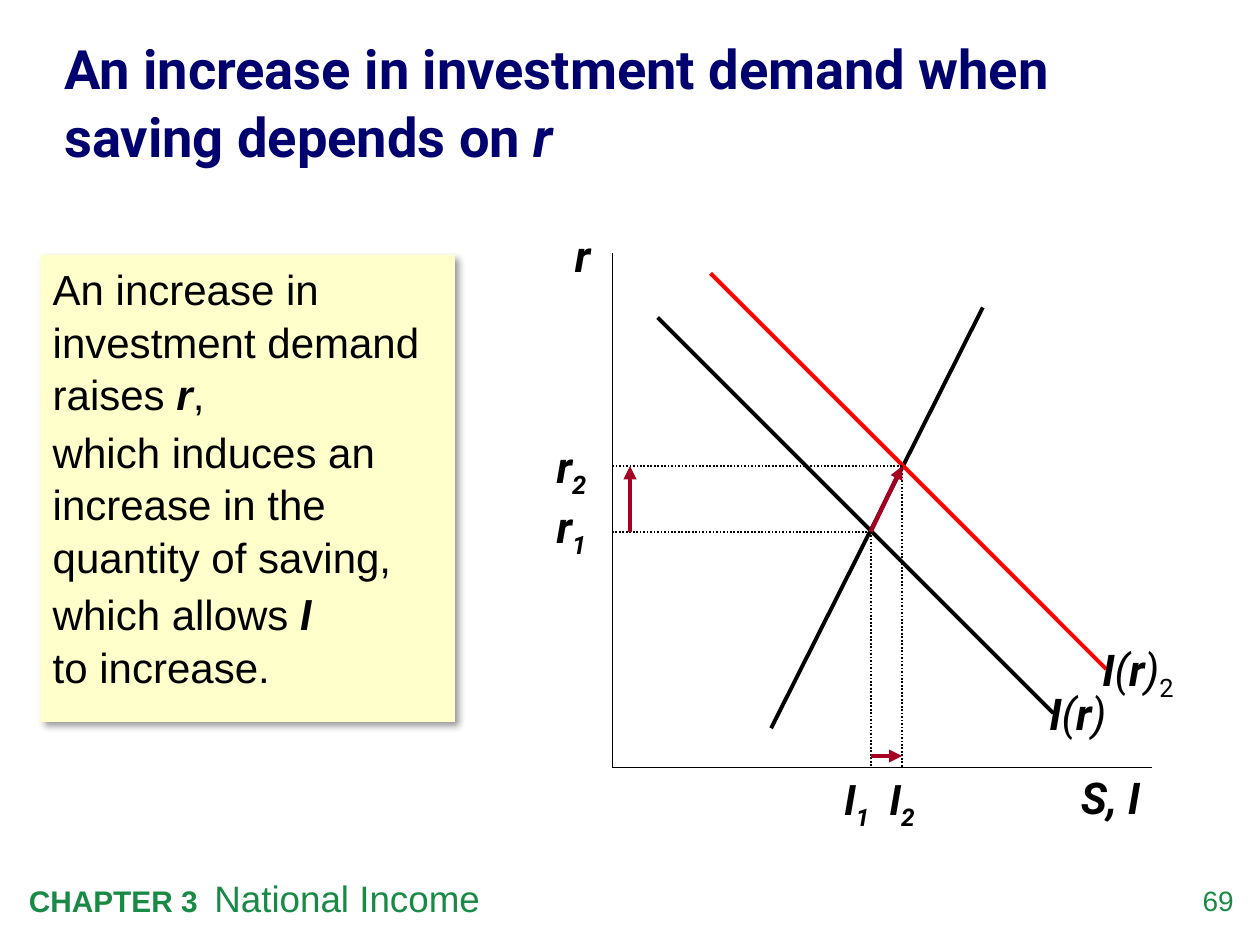
"""Build the slide on investment demand when saving depends on r."""
from lxml.etree import SubElement
from pptx import Presentation
from pptx.dml.color import RGBColor
from pptx.enum.dml import MSO_LINE
from pptx.enum.shapes import MSO_CONNECTOR, MSO_SHAPE
from pptx.enum.text import MSO_ANCHOR as Anchor, PP_ALIGN as Align
from pptx.oxml.ns import qn
from pptx.util import Inches, Pt

BLACK = RGBColor(0x00, 0x00, 0x00)
RED = RGBColor(0xFF, 0x00, 0x00)
CRIMSON = RGBColor(0xA5, 0x00, 0x21)
NAVY = RGBColor(0x00, 0x00, 0x6E)
GREEN = RGBColor(0x19, 0x8A, 0x46)
CREAM = RGBColor(0xFF, 0xFF, 0xCC)

TITLE = [("An increase in investment demand when saving depends on ", "b"), ("r", "bi")]
FOOTER = [("CHAPTER 3  ", "b"), ("National Income", "large")]
PAGE_NUMBER = [("69", "")]
STORY = [
    [("An increase in investment demand raises ", ""), ("r", "bi"), (",", "")],
    [("which induces an increase in the quantity of saving,", "")],
    [("which allows ", ""), ("I ", "symbol"), ("\n", ""), ("to increase.", "")],
]

LEFT, RIGHT, TOP, BOTTOM = 4.86, 9.14, 2.01, 6.09
I1, I2, R1, R2 = 6.91, 7.16, 4.22, 3.7
AXES = [(LEFT, TOP, LEFT, BOTTOM), (LEFT, BOTTOM, RIGHT, BOTTOM)]
CURVES = [
    ((5.22, 2.52, 8.36, 5.66), BLACK),
    ((6.12, 5.78, 7.8, 2.44), BLACK),
    ((5.64, 2.17, 8.78, 5.31), RED),
]
GUIDES = [(x, r, *end) for x, r in ((I1, R1), (I2, R2)) for end in ((LEFT, r), (x, BOTTOM))]
ARROWS = [(5, R1, 5, R2), (I1, 6, I2, 6), (I1, R1, I2, R2)]

CURVE_NAME = [("I", "bi"), ("(", "i"), ("r", "bi"), (")", "i")]
LABELS = [
    ((4.39, 1.77, 0.47, 0.52), [("r", "bi")], 25, Align.CENTER),
    ((8.33, 6.07, 0.97, 0.52), [("S, I", "bi")], 25, Align.CENTER),
    ((8.23, 5.4, 1.02, 0.52), CURVE_NAME, 25, Align.LEFT),
    ((8.65, 5.05, 0.92, 0.52), CURVE_NAME + [("2", "sub")], 25, Align.LEFT),
    ((4.32, 3.92, 0.58, 0.52), [("r", "bi"), ("1", "bi sub")], 25, Align.LEFT),
    ((4.32, 3.44, 0.58, 0.52), [("r", "bi"), ("2", "bi sub")], 25, Align.LEFT),
    ((6.6, BOTTOM, 0.51, 0.5), [("I", "bi"), ("1", "bi sub")], 24, Align.LEFT),
    ((6.96, BOTTOM, 0.51, 0.5), [("I", "bi"), ("2", "bi sub")], 24, Align.LEFT),
]
STYLES = {"": (False, False), "b": (True, False), "i": (False, True), "bi": (True, True),
          "bi sub": (True, True), "sub": (False, False), "symbol": (True, True),
          "large": (False, False)}


def write(para, spans, size, name, color, align=Align.LEFT):
    para.alignment = align
    para.font.size, para.font.name = Pt(size), name
    para.font.color.rgb = color
    for text, style in spans:
        if text == "\n":
            para.add_line_break()
            continue
        span = para.add_run()
        span.text = text
        span.font.bold, span.font.italic = STYLES[style]
        if style.endswith("sub"):
            span.font._element.set("baseline", "-25000")
        elif style == "symbol":
            span.font.name = "Roboto"
        elif style == "large":
            span.font.size = Pt(21)


def add_text(page, place, spans, size, name, color, align=Align.LEFT, inset=True):
    frame = page.shapes.add_textbox(*map(Inches, place)).text_frame
    frame.word_wrap = True
    if not inset:
        frame.margin_left = frame.margin_right = frame.margin_top = frame.margin_bottom = 0
    write(frame.paragraphs[0], spans, size, name, color, align)
    return frame


def add_line(page, ends, color, width, dotted=False, arrow=False):
    line = page.shapes.add_connector(MSO_CONNECTOR.STRAIGHT, *map(Inches, ends))
    line.line.color.rgb, line.line.width = color, Pt(width)
    if dotted:
        line.line.dash_style = MSO_LINE.ROUND_DOT
    if arrow:
        SubElement(line.line._get_or_add_ln(), qn("a:tailEnd"), type="triangle")
    SubElement(line._element.spPr, qn("a:effectLst"))


def add_story(page):
    box = page.shapes.add_shape(MSO_SHAPE.RECTANGLE, *map(Inches, (0.32, 2.02, 3.29, 3.71)))
    box.fill.solid()
    box.fill.fore_color.rgb = CREAM
    box.line.fill.background()
    box.shadow.inherit = False
    effects = box._element.spPr.find(qn("a:effectLst"))
    shadow = SubElement(effects, qn("a:outerShdw"), blurRad=str(Pt(4)), dist=str(Pt(3)),
                        dir="2700000", algn="tl", rotWithShape="0")
    tint = SubElement(shadow, qn("a:srgbClr"), val=str(BLACK))
    SubElement(tint, qn("a:alpha"), val="40000")
    frame = box.text_frame
    frame.word_wrap, frame.vertical_anchor = True, Anchor.TOP
    for index, spans in enumerate(STORY):
        para = frame.add_paragraph() if index else frame.paragraphs[0]
        para.line_spacing = 1.05
        if index:
            para.space_before = Pt(2.4)
        write(para, spans, 24, "Arial", BLACK)


def main():
    deck = Presentation()
    deck.slide_width, deck.slide_height = Inches(10), Inches(7.5)
    page = deck.slides.add_slide(deck.slide_layouts[6])
    add_text(page, (9.24, 7.01, 0.55, 0.32), PAGE_NUMBER, 16, "Arial", GREEN, Align.RIGHT, False)
    add_text(page, (0.13, 6.9, 8.18, 0.45), FOOTER, 17, "Arial", GREEN)
    title = add_text(page, (0.51, 0.28, 9.02, 1.03), TITLE, 31, "Roboto", NAVY, inset=False)
    title.vertical_anchor = Anchor.MIDDLE
    title.paragraphs[0].line_spacing = 1.05
    add_story(page)
    for ends in AXES:
        add_line(page, ends, BLACK, 0.75)
    for ends, color in CURVES:
        add_line(page, ends, color, 2.25)
    for ends in GUIDES:
        add_line(page, ends, BLACK, 1, dotted=True)
    for ends in ARROWS:
        add_line(page, ends, CRIMSON, 2.5, arrow=True)
    for place, spans, size, align in LABELS:
        add_text(page, place, spans, size, "Roboto", BLACK, align)
    deck.save("out.pptx")


if __name__ == "__main__":
    main()
